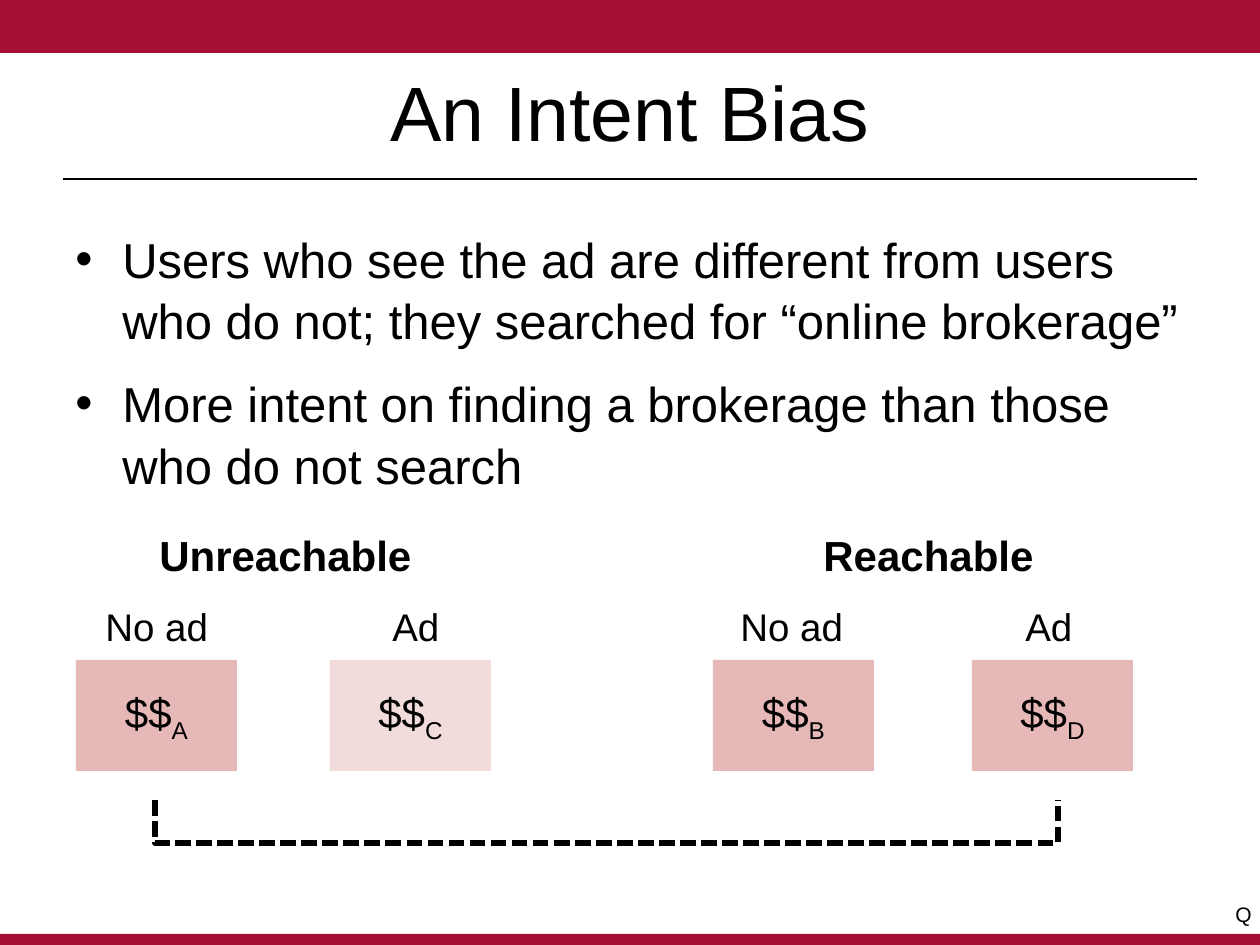
from lxml.etree import SubElement
from pptx import Presentation
from pptx.dml.color import RGBColor
from pptx.enum.dml import MSO_LINE
from pptx.enum.shapes import MSO_CONNECTOR, MSO_SHAPE
from pptx.enum.text import MSO_ANCHOR, MSO_AUTO_SIZE, PP_ALIGN
from pptx.oxml.ns import qn
from pptx.util import Pt

SCALE = 914400 / 126
CRIMSON, ROSE, PALE_ROSE, BLACK = "A41034", "E6B9B8", "F2DCDB", "000000"


def emu(px):
    return round(px * SCALE)


def color(value):
    return RGBColor.from_string(value)


def apply(target, values):
    for name, value in values.items():
        setattr(target, name, value)


class SlideBuilder:
    """Draws styled elements on the current page."""

    def __init__(self, deck, font="Arial"):
        self.page = deck.slides.add_slide(deck.slide_layouts[6])
        self.font = font

    def span(self, para, text, size, bold=False):
        span = para.add_run()
        span.text = text
        apply(span.font, {"name": self.font, "size": Pt(size), "bold": bold})
        span.font.color.rgb = color(BLACK)
        return span

    def rectangle(self, left, top, width, height, fill):
        shape = self.page.shapes.add_shape(
            MSO_SHAPE.RECTANGLE, *map(emu, (left, top, width, height)))
        shape.shadow.inherit = False
        shape.fill.solid()
        shape.fill.fore_color.rgb = color(fill)
        shape.line.fill.background()
        return shape

    def cell(self, left, top, width, height, fill, text, subscript):
        frame = self.rectangle(left, top, width, height, fill).text_frame
        margins = ("margin_left", "margin_top", "margin_right", "margin_bottom")
        apply(frame, dict.fromkeys(margins, emu(13)))
        apply(frame, {"vertical_anchor": MSO_ANCHOR.MIDDLE, "word_wrap": True})
        para = frame.paragraphs[0]
        para.alignment = PP_ALIGN.CENTER
        self.span(para, text, 24)
        lowered = self.span(para, subscript, 24)
        lowered.font._element.set("baseline", "-25000")

    def text_frame(self, left, top, width, height, **values):
        box = self.page.shapes.add_textbox(*map(emu, (left, top, width, height)))
        apply(box.text_frame, values)
        return box.text_frame

    def title(self, left, top, width, height, text):
        frame = self.text_frame(left, top, width, height, word_wrap=True,
                                vertical_anchor=MSO_ANCHOR.MIDDLE)
        para = frame.paragraphs[0]
        para.alignment = PP_ALIGN.CENTER
        self.span(para, text, 44)

    def label(self, left, top, width, height, text, size, bold=False):
        frame = self.text_frame(left, top, width, height, word_wrap=False,
                                auto_size=MSO_AUTO_SIZE.SHAPE_TO_FIT_TEXT)
        self.span(frame.paragraphs[0], text, size, bold)

    def bullets(self, left, top, width, height, items, indent=47):
        frame = self.text_frame(left, top, width, height, word_wrap=True)
        for index, text in enumerate(items):
            para = frame.add_paragraph() if index else frame.paragraphs[0]
            apply(para, {"line_spacing": 1.05, "space_before": Pt(12 if index else 0)})
            properties = para._p.get_or_add_pPr()
            properties.set("marL", str(emu(indent)))
            properties.set("indent", str(-emu(indent)))
            SubElement(properties, qn("a:buFont"), typeface=self.font)
            SubElement(properties, qn("a:buChar"), char="•")
            self.span(para, text, 28)

    def rule(self, left, right, y):
        line = self.page.shapes.add_connector(
            MSO_CONNECTOR.STRAIGHT, *map(emu, (left, y, right, y)))
        line.line.color.rgb = color(BLACK)
        line.line.width = Pt(1.25)
        SubElement(line._element.spPr, qn("a:effectLst"))

    def dashed_path(self, start, *points):
        builder = self.page.shapes.build_freeform(*start, scale=SCALE)
        builder.add_line_segments(points, close=False)
        shape = builder.convert_to_shape()
        shape.shadow.inherit = False
        shape.fill.background()
        shape.line.color.rgb = color(BLACK)
        apply(shape.line, {"width": Pt(3), "dash_style": MSO_LINE.SQUARE_DOT})


def main():
    deck = Presentation()
    apply(deck, {"slide_width": emu(1260), "slide_height": emu(945)})
    slide = SlideBuilder(deck)

    slide.rectangle(0, 0, 1260, 53, CRIMSON)
    slide.rectangle(0, 934, 1260, 11, CRIMSON)
    slide.rule(63, 1197, 179)
    slide.title(63, 32, 1134, 157, "An Intent Bias")
    slide.bullets(63, 220, 1134, 390, [
        "Users who see the ad are different from users who do not; "
        "they searched for “online brokerage”",
        "More intent on finding a brokerage than those who do not search",
    ])

    cells = [(76, ROSE, "A"), (330, PALE_ROSE, "C"), (713, ROSE, "B"), (972, ROSE, "D")]
    for left, fill, subscript in cells:
        slide.cell(left, 660, 161, 111, fill, "$$", subscript)
    for left, width, text in [(93, 130, "No ad"), (380, 73, "Ad"),
                              (728, 130, "No ad"), (1013, 73, "Ad")]:
        slide.label(left, 597, width, 59, text, 22)

    slide.dashed_path((155, 800), (155, 843), (1058, 843), (1058, 800))
    slide.label(811, 523, 238, 63, "Reachable", 24, bold=True)
    slide.label(147, 523, 280, 63, "Unreachable", 24, bold=True)
    slide.label(1223, 895, 42, 38, "Q", 12)
    deck.save("out.pptx")


if __name__ == "__main__":
    main()
